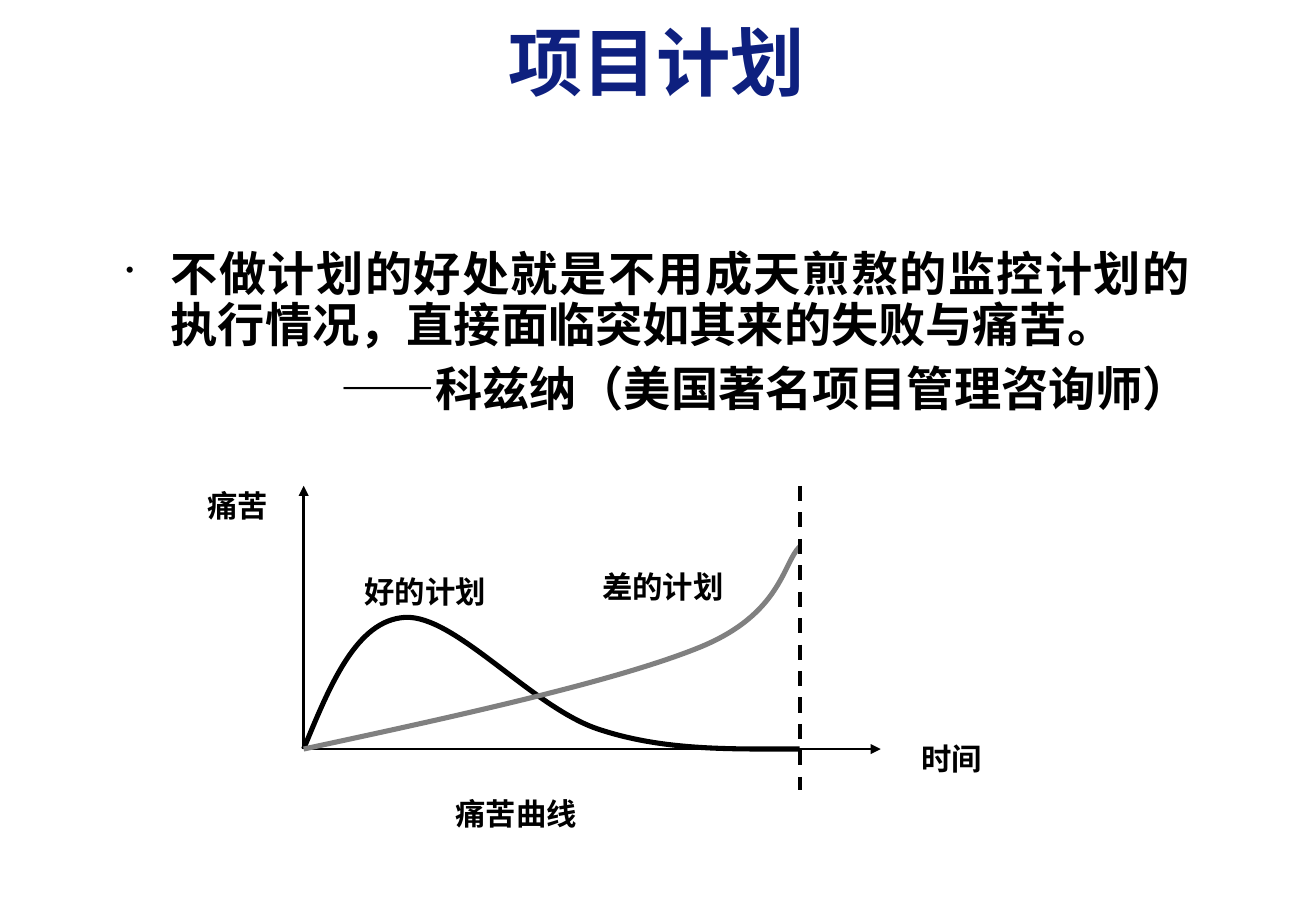
from lxml import etree
from pptx import Presentation
from pptx.dml.color import RGBColor
from pptx.enum.dml import MSO_LINE
from pptx.enum.shapes import MSO_CONNECTOR, MSO_SHAPE
from pptx.enum.text import MSO_ANCHOR, PP_ALIGN
from pptx.oxml.ns import qn
from pptx.util import Inches, Pt

NAVY = RGBColor(0x0E, 0x20, 0x7F)
BLACK = RGBColor(0, 0, 0)
GREY = RGBColor(0x80, 0x80, 0x80)
WHITE = RGBColor(0xFF, 0xFF, 0xFF)
RECTANGLE = MSO_SHAPE.RECTANGLE
STRAIGHT = MSO_CONNECTOR.STRAIGHT
DASH = MSO_LINE.DASH
TOP, MIDDLE = MSO_ANCHOR.TOP, MSO_ANCHOR.MIDDLE
JUSTIFY, CENTER, RIGHT = PP_ALIGN.JUSTIFY, PP_ALIGN.CENTER, PP_ALIGN.RIGHT
HEADING_FONT = "Noto Sans CJK JP"
DASH_FONT = "Noto Sans CJK SC"
LABEL_FONT = "Arial"
COLUMNS, ROWS = 130, 90
CELL = Inches(1) // 12


def apply(target, values):
    for name, value in values.items():
        setattr(target, name, value)


def add_xml(parent, tag, **attributes):
    return etree.SubElement(parent, qn(tag), attributes)


class SlideCanvas:
    def __init__(self, slide):
        self.shapes = slide.shapes

    def grid(self, *cells):
        return [round(cell * CELL) for cell in cells]

    def style_line(self, line, color, width):
        line.color.rgb = color
        line.width = Pt(width)

    def add_text(self, paragraph, text, font, size, color=BLACK):
        run = paragraph.add_run()
        run.text = text
        apply(run.font, {"name": font, "size": Pt(size), "bold": True})
        run.font.color.rgb = color
        add_xml(run.font._element, "a:ea", typeface=font)

    def text_box(self, area, anchor):
        frame = self.shapes.add_textbox(*self.grid(*area)).text_frame
        apply(frame, {
            "word_wrap": True, "vertical_anchor": anchor,
            "margin_left": Inches(0.12), "margin_right": Inches(0.12),
            "margin_top": Inches(0.06), "margin_bottom": Inches(0.06),
        })
        return frame

    def title(self, area, text):
        paragraph = self.text_box(area, MIDDLE).paragraphs[0]
        paragraph.alignment = RIGHT
        self.add_text(paragraph, text, HEADING_FONT, 44, NAVY)

    def quotation(self, area, quote, source):
        frame = self.text_box(area, TOP)
        saying, author = frame.paragraphs[0], frame.add_paragraph()
        apply(saying, {"alignment": JUSTIFY, "line_spacing": Pt(30.2),
                       "space_before": Pt(2)})
        apply(author, {"alignment": RIGHT, "line_spacing": Pt(30.2),
                       "space_before": Pt(7.5)})
        properties = saying._p.get_or_add_pPr()
        properties.set("marL", str(Inches(0.37)))
        properties.set("indent", str(-Inches(0.37)))
        bullet_color = add_xml(properties, "a:buClr")
        add_xml(bullet_color, "a:srgbClr", val=str(BLACK))
        add_xml(properties, "a:buSzPct", val="50000")
        add_xml(properties, "a:buChar", char="•")
        self.add_text(saying, quote, HEADING_FONT, 28)
        self.add_text(author, "——", DASH_FONT, 28)
        self.add_text(author, source, HEADING_FONT, 28)

    def straight(self, start, end, width, dash=None, arrow=False):
        connector = self.shapes.add_connector(STRAIGHT, *self.grid(*start, *end))
        self.style_line(connector.line, BLACK, width)
        if dash:
            connector.line.dash_style = dash
        if arrow:
            add_xml(connector.line._get_or_add_ln(), "a:tailEnd", type="triangle")
        add_xml(connector._element.spPr, "a:effectLst")

    def curve(self, start, controls, color):
        builder = self.shapes.build_freeform(*self.grid(*start))
        builder.add_line_segments([self.grid(*point) for point in controls], close=False)
        curve = builder.convert_to_shape()
        curve.shadow.inherit = False
        curve.fill.background()
        self.style_line(curve.line, color, 3)
        segments = list(curve._element.iter(qn("a:lnTo")))
        outline = segments[0].getparent()
        for first in range(0, len(segments), 3):
            bezier = add_xml(outline, "a:cubicBezTo")
            for segment in segments[first:first + 3]:
                bezier.append(segment[0])
                outline.remove(segment)

    def label(self, area, text):
        label = self.shapes.add_shape(RECTANGLE, *self.grid(*area))
        label.shadow.inherit = False
        label.fill.solid()
        label.fill.fore_color.rgb = WHITE
        self.style_line(label.line, WHITE, 0.75)
        apply(label.text_frame, {"word_wrap": False, "vertical_anchor": MIDDLE})
        paragraph = label.text_frame.paragraphs[0]
        apply(paragraph, {"alignment": CENTER, "line_spacing": 1.5})
        self.add_text(paragraph, text, LABEL_FONT, 18)


def main():
    deck = Presentation()
    deck.slide_width, deck.slide_height = COLUMNS * CELL, ROWS * CELL
    canvas = SlideCanvas(deck.slides.add_slide(deck.slide_layouts[6]))

    canvas.title((41, 0, 40, 12), "项目计划")
    canvas.quotation(
        (11, 24, 108, 19.5),
        "不做计划的好处就是不用成天煎熬的监控计划的执行情况，直接面临突如其来的失败与痛苦。",
        "科兹纳（美国著名项目管理咨询师）",
    )

    origin, deadline = (30, 74), 79
    canvas.straight(origin, (30, 48), 1.5, arrow=True)
    canvas.straight(origin, (87, 74), 1.5, arrow=True)
    good_plan = [(32.6, 67.7), (35.2, 61.3), (40, 61),
                 (44.9, 60.7), (52.5, 69.8), (59, 72),
                 (65.5, 74.2), (72.2, 74), (deadline, 74)]
    bad_plan = [(45.4, 70.7), (60.8, 67.3), (69, 64),
                (77.2, 60.7), (77.3, 55.7), (deadline, 54)]
    canvas.curve(origin, good_plan, BLACK)
    canvas.curve(origin, bad_plan, GREY)
    canvas.straight((deadline, 48), (deadline, 78), 2.25, dash=DASH)

    for text, area in {
        "痛苦": (18, 47, 11, 4),
        "时间": (88, 72, 12, 4),
        "痛苦曲线": (41, 77, 20, 5),
        "好的计划": (33, 55, 18, 5),
        "差的计划": (56, 55, 19, 4),
    }.items():
        canvas.label(area, text)

    deck.save("out.pptx")


if __name__ == "__main__":
    main()
